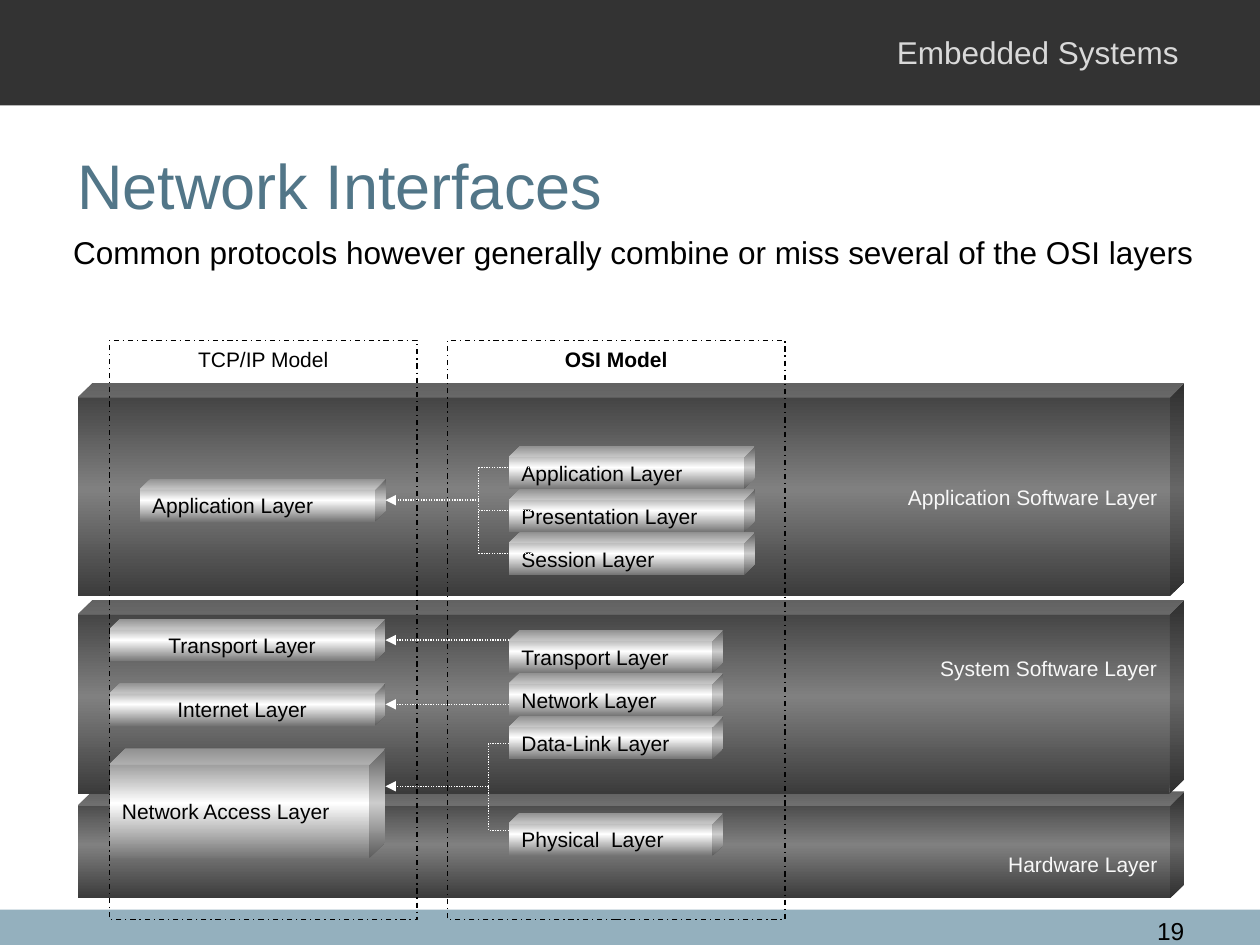
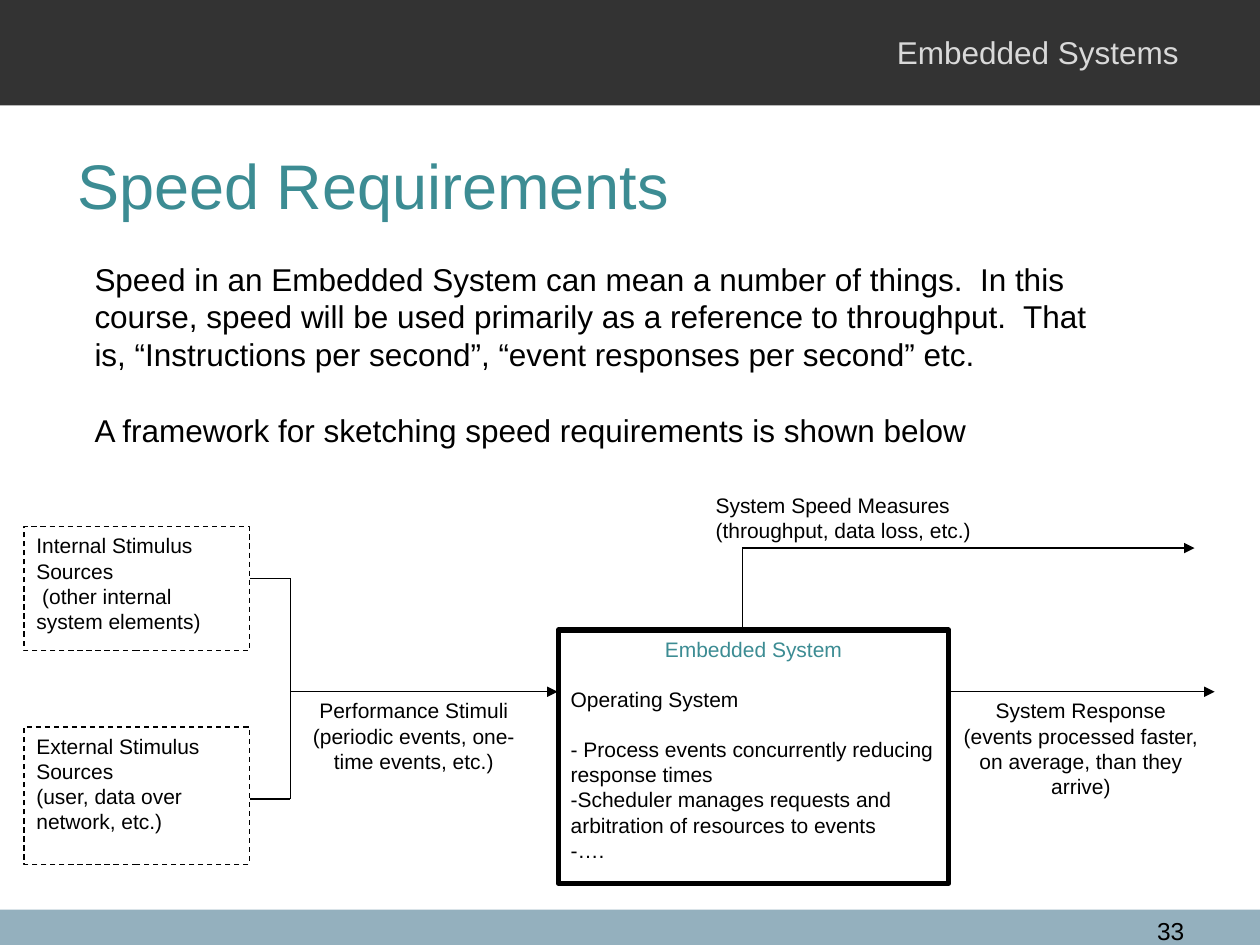
import copy

import pptx
import pptx.dml.color
import pptx.enum.dml
import pptx.enum.shapes
import pptx.enum.text
import pptx.oxml.ns
import pptx.oxml.xmlchemy
import pptx.util

Pt = pptx.util.Pt
RGB = pptx.dml.color.RGBColor
SHAPE = pptx.enum.shapes.MSO_SHAPE
DASH = pptx.enum.dml.MSO_LINE
ALIGN = pptx.enum.text.PP_ALIGN
ANCHOR = pptx.enum.text.MSO_ANCHOR
qn = pptx.oxml.ns.qn
new_element = pptx.oxml.xmlchemy.OxmlElement

# Colours and shared style
BLACK, WHITE = RGB(0, 0, 0), RGB(255, 255, 255)
BAND_DARK, BAND_BLUE = RGB(0x33, 0x33, 0x33), RGB(0x94, 0xB0, 0xBE)
COURSE_GREY, LABEL_WHITE = RGB(0xD9, 0xD9, 0xD9), RGB(0xF8, 0xF8, 0xF8)
SLATE, TEAL = RGB(0x52, 0x76, 0x88), RGB(0x3C, 0x8C, 0x93)
DARK_METAL = (RGB(0x3B, 0x3B, 0x3B), RGB(0x80, 0x80, 0x80))
LIGHT_METAL = (RGB(0x75, 0x75, 0x75), WHITE)
FONT = "Arial"
WIDTH, HEIGHT = 720, 540
COURSE = "Embedded Systems"

# Network Interfaces: content
OSI_NOTE = "Common protocols however generally combine or miss several of the OSI layers"
SLAB_X, SLAB_W = 44.6, 632.2
# label, top, height, depth ratio, extra top inset, extra bottom inset
SLABS = [
    ("Hardware Layer", 452.2, 61.2, 0.134, 14, 0),
    ("System Software Layer", 342.7, 110.9, 0.076, 0, 41.4),
    ("Application Software Layer", 218.9, 121.7, 0.067, 0, 0),
]
LAYER_H, LAYER_PITCH = 24.5, 24.6
TCP_X, TCP_RIGHT, OSI_X = 62.6, 220.3, 290.9
# label, left, top, height, depth ratio, alignment
TCP_LAYERS = [
    ("Application Layer", 79.9, 273.6, LAYER_H, 0.25, ALIGN.LEFT),
    ("Transport Layer", TCP_X, 353.5, LAYER_H, 0.25, ALIGN.CENTER),
    ("Internet Layer", TCP_X, 390.2, LAYER_H, 0.25, ALIGN.CENTER),
    ("Network Access Layer", TCP_X, 427.7, 62.6, 0.146, ALIGN.LEFT),
]
# first top, width, stacked labels
OSI_STACKS = [
    (254.9, 140.4, ["Application Layer", "Presentation Layer", "Session Layer"]),
    (360, 122.4, ["Transport Layer", "Network Layer", "Data-Link Layer"]),
    (464.4, 122.4, ["Physical  Layer"]),
]
# start x, y of each arrow into the TCP/IP column
MAPPINGS = [(273.6, 285.8), (OSI_X, 365.8), (OSI_X, 402.5), (279.2, 449.3)]
# spine x, stub end x, stub heights
BRACKETS = [(273.6, 308.2, [267.1, 291.7, 316.1]), (279.2, OSI_X, [424.8, 474.5])]
# label, left, width, bold
FRAMES = [("TCP/IP Model", TCP_X, 175.7, False), ("OSI Model", 255.6, 193, True)]
FRAME_Y, FRAME_H = 194.4, 331.2

# Speed Requirements: content
SPEED_TEXT = [
    "Speed in an Embedded System can mean a number of things.  In this course, speed "
    "will be used primarily as a reference to throughput.  That is, “Instructions per "
    "second”, “event responses per second” etc.",
    "A framework for sketching speed requirements is shown below",
]
SOURCES = [
    ((13.7, 301, 128.9, 70.6),
     ["Internal Stimulus Sources", " (other internal system elements)"]),
    ((13.7, 415.4, 128.9, 78.5),
     ["External Stimulus Sources", "(user, data over network, etc.)"]),
]
SYSTEM_BOX = (319, 360, 223.2, 144.7)
SYSTEM_TEXT = [
    "Embedded System",
    "Operating System",
    "- Process events concurrently reducing response times",
    "-Scheduler manages requests and arbitration of resources to events",
    "-….",
]
FLOW_LABELS = [
    ((166.3, 395.3, 140.4, 35.3), ALIGN.CENTER,
     ["Performance Stimuli", "(periodic events, one-time events, etc.)"]),
    ((541.4, 395.3, 152.6, 35.3), ALIGN.CENTER,
     ["System Response", "(events processed faster, on average, than they arrive)"]),
    ((401.8, 277.9, 303.8, 35.3), ALIGN.LEFT,
     ["System Speed Measures", "(throughput, data loss, etc.)"]),
]
# x1, y1, x2, y2, arrow
FLOW_LINES = [
    (142.6, 330.5, 166, 330.5, False),
    (142.6, 456.5, 166, 456.5, False),
    (166, 330.5, 166, 456.5, False),
    (166, 395.3, 318.6, 395.3, True),
    (541.4, 395.3, 694.1, 395.3, True),
    (424.1, 360, 424.1, 313.2, False),
    (424.1, 313.2, 682.6, 313.2, True),
]


def apply(obj, **values):
    for name, value in values.items():
        setattr(obj, name, value)


def place(sp, x, y, w, h):
    apply(sp, left=Pt(x), top=Pt(y), width=Pt(w), height=Pt(h))


def write(sp, lines, size=12, color=BLACK, bold=False, align=ALIGN.LEFT,
          anchor=ANCHOR.TOP, wrap=True, gaps=None, top=3.6, bottom=3.6):
    """Fill a shape with paragraphs; gaps maps a line index to space after it."""
    tf = sp.text_frame
    apply(tf, word_wrap=wrap, auto_size=pptx.enum.text.MSO_AUTO_SIZE.NONE,
          vertical_anchor=anchor, margin_left=Pt(7.2), margin_right=Pt(7.2),
          margin_top=Pt(top), margin_bottom=Pt(bottom))
    for i, line in enumerate(lines):
        p = tf.add_paragraph() if i else tf.paragraphs[0]
        apply(p, alignment=align, space_before=Pt(0), space_after=Pt((gaps or {}).get(i, 0)))
        r = p.add_run()
        r.text = line
        apply(r.font, name=FONT, size=Pt(size), bold=bold)
        r.font.color.rgb = color
    return tf


def add_box(s, box, kind=SHAPE.RECTANGLE, fill=None, line=None, width=0.75, dash=None):
    sp = s.shapes.add_shape(kind, *map(Pt, box))
    sp.shadow.inherit = False
    if fill is None:
        sp.fill.background()
    else:
        sp.fill.solid()
        sp.fill.fore_color.rgb = fill
    if line is None:
        sp.line.fill.background()
    else:
        sp.line.color.rgb = line
        apply(sp.line, width=Pt(width), dash_style=dash)
    return sp


def add_cube(s, box, depth, metal):
    sp = add_box(s, box, SHAPE.CUBE)
    sp.adjustments[0] = depth
    sp.fill.gradient()
    sp.fill.gradient_angle = 90
    stops = sp._element.spPr.find(".//" + qn("a:gsLst"))
    stops.append(copy.deepcopy(stops[0]))
    edge, middle = metal
    for stop, pos, color in zip(sp.fill.gradient_stops, (0, 0.5, 1), (edge, middle, edge)):
        stop.position = pos
        stop.color.rgb = color
    return sp


def add_line(s, x1, y1, x2, y2, arrow=False, color=BLACK, dash=None):
    cx = s.shapes.add_connector(
        pptx.enum.shapes.MSO_CONNECTOR.STRAIGHT, Pt(x1), Pt(y1), Pt(x2), Pt(y2))
    cx.line.color.rgb = color
    apply(cx.line, width=Pt(0.75), dash_style=dash)
    if arrow:
        end = new_element("a:tailEnd")
        end.set("type", "triangle")
        cx._element.spPr.find(qn("a:ln")).append(end)
    cx._element.spPr.append(new_element("a:effectLst"))


def add_text(s, box, lines, **style):
    write(s.shapes.add_textbox(*map(Pt, box)), lines, **style)


def add_slide(prs, title, color, number, body, body_box, **body_style):
    s = prs.slides.add_slide(prs.slide_layouts[1])
    # Bands, course name and page number
    add_box(s, (0, 519.8, WIDTH, 20.2), fill=BAND_BLUE)
    add_box(s, (0, 0, WIDTH, 60.2), fill=BAND_DARK)
    add_text(s, (505.4, 15.1, 180, 29), [COURSE], size=18, color=COURSE_GREY)
    add_text(s, (637.9, 519.8, 46, 17.3), [number], size=14, align=ALIGN.RIGHT)
    # Title and unbulleted body
    place(s.shapes.title, 36.9, 60.5, 648, 90)
    write(s.shapes.title, [title], size=36, color=color, anchor=ANCHOR.MIDDLE)
    place(s.placeholders[1], *body_box)
    for p in write(s.placeholders[1], body, size=18, **body_style).paragraphs:
        pPr = p._p.get_or_add_pPr()
        pPr.set("marL", "0")
        pPr.set("indent", "0")
        pPr.append(new_element("a:buNone"))
    return s


def network_slide(prs):
    s = add_slide(prs, "Network Interfaces", SLATE, "19",
                  [OSI_NOTE], (34.6, 129.6, 661, 29), wrap=False)
    # Background slabs
    for label, y, h, depth, top, bottom in SLABS:
        sp = add_cube(s, (SLAB_X, y, SLAB_W, h), depth, DARK_METAL)
        write(sp, [label], color=LABEL_WHITE, align=ALIGN.RIGHT, anchor=ANCHOR.MIDDLE,
              top=3.6 + top, bottom=3.6 + bottom)
    # Protocol layers
    layers = [(label, (x, y, TCP_RIGHT - x, h), depth, align)
              for label, x, y, h, depth, align in TCP_LAYERS]
    layers += [(label, (OSI_X, y + i * LAYER_PITCH, w, LAYER_H), 0.25, ALIGN.LEFT)
               for y, w, labels in OSI_STACKS for i, label in enumerate(labels)]
    for label, box, depth, align in layers:
        write(add_cube(s, box, depth, LIGHT_METAL), [label],
              align=align, anchor=ANCHOR.MIDDLE, wrap=False)
    # Dotted mapping lines
    dotted = dict(color=WHITE, dash=DASH.ROUND_DOT)
    for x, y in MAPPINGS:
        add_line(s, x, y, TCP_RIGHT, y, arrow=True, **dotted)
    for x, stub_x, ys in BRACKETS:
        add_line(s, x, ys[0], x, ys[-1], **dotted)
        for y in ys:
            add_line(s, stub_x, y, x, y, **dotted)
    # Model frames
    for label, x, w, bold in FRAMES:
        sp = add_box(s, (x, FRAME_Y, w, FRAME_H), line=BLACK, dash=DASH.DASH_DOT)
        write(sp, [label], bold=bold, align=ALIGN.CENTER)


def speed_slide(prs):
    s = add_slide(prs, "Speed Requirements", TEAL, "33",
                  SPEED_TEXT, (46.8, 144.7, 601.9, 116.6), gaps={0: 21.5})
    # Stimulus sources
    for box, lines in SOURCES:
        write(add_box(s, box, fill=WHITE, line=BLACK, dash=DASH.DASH), lines)
    # Embedded system
    sp = add_box(s, SYSTEM_BOX, fill=WHITE, line=BLACK, width=3)
    tf = write(sp, SYSTEM_TEXT, gaps={0: 14.3, 1: 14.3})
    heading = tf.paragraphs[0]
    heading.alignment = ALIGN.CENTER
    heading.runs[0].font.color.rgb = TEAL
    # Flow lines and labels
    for line in FLOW_LINES:
        add_line(s, *line)
    for box, align, lines in FLOW_LABELS:
        add_text(s, box, lines, align=align)


def main():
    prs = pptx.Presentation()
    apply(prs, slide_width=Pt(WIDTH), slide_height=Pt(HEIGHT))
    network_slide(prs)
    speed_slide(prs)
    prs.save("out.pptx")


if __name__ == "__main__":
    main()
